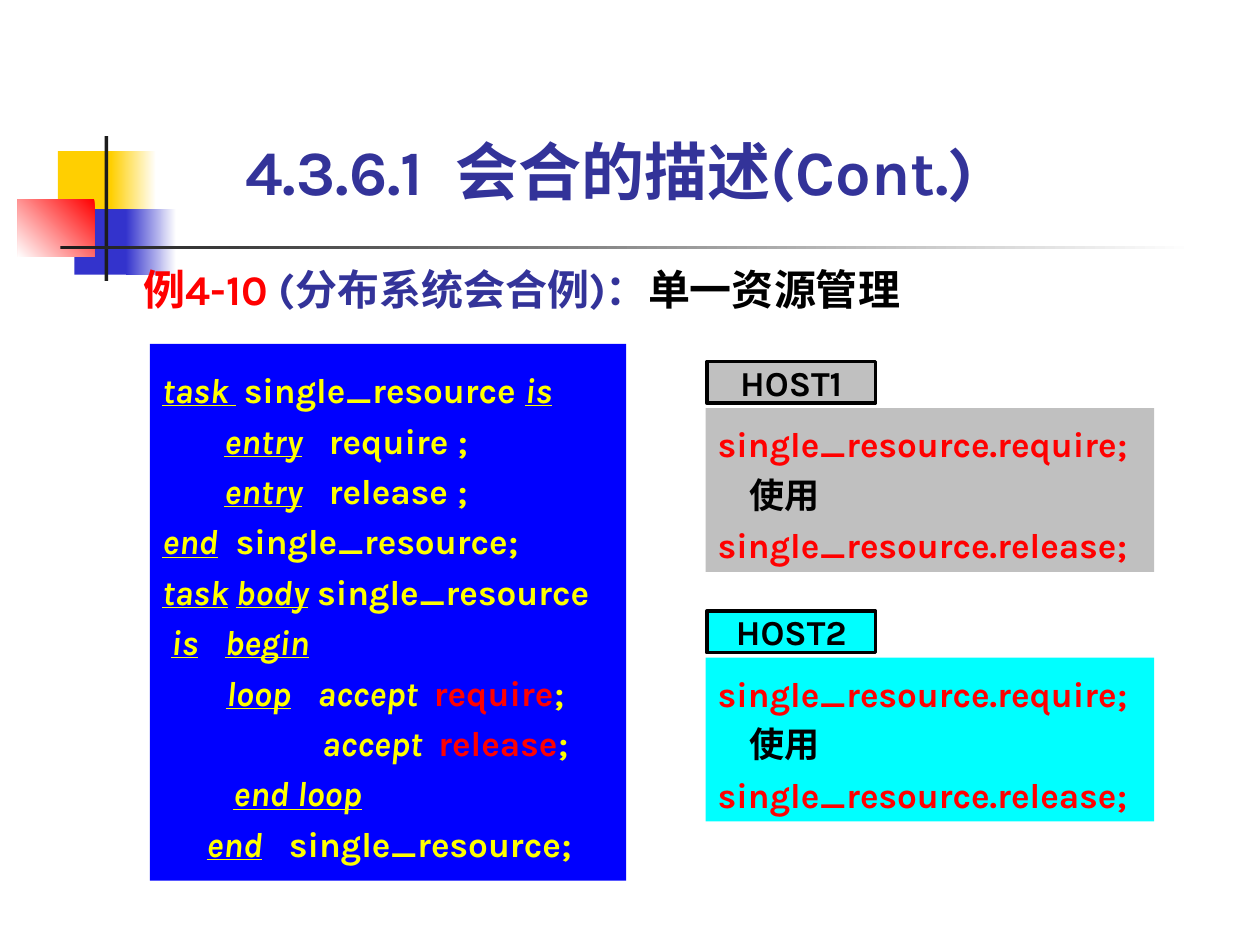
from pptx import Presentation
from pptx.dml.color import RGBColor
from pptx.enum.shapes import MSO_SHAPE
from pptx.enum.text import MSO_ANCHOR, PP_ALIGN
from pptx.util import Inches, Pt

RECT = MSO_SHAPE.RECTANGLE
TOP, MID, LOW = MSO_ANCHOR.TOP, MSO_ANCHOR.MIDDLE, MSO_ANCHOR.BOTTOM
LEFT, MIDST = PP_ALIGN.LEFT, PP_ALIGN.CENTER
COLS, ROWS = 100, 75
WHITE, BLACK, RED, NAVY = "FFFFFF", "000000", "FF0000", "333399"
GOLD, BLUE, DARK, GREY = "FFCF01", "3333CC", "1C1C1C", "C0C0C0"
LEMON, DEEP, CYAN = "FFFF00", "0000FF", "00FFFF"


def tint(code):
    return RGBColor.from_string(code)


class Deck:
    font = "Karla"

    def __init__(self):
        self.file = Presentation()
        self.file.slide_width, self.file.slide_height = Inches(10), Inches(7.5)
        self.slide = self.file.slides.add_slide(self.file.slide_layouts[6])

    def place(self, x, y, w, h):
        col = self.file.slide_width / COLS
        row = self.file.slide_height / ROWS
        return round(x * col), round(y * row), round(w * col), round(h * row)

    def block(self, at, fill, edge=None):
        shape = self.slide.shapes.add_shape(RECT, *self.place(*at))
        shape.shadow.inherit = False
        shape.fill.solid()
        shape.fill.fore_color.rgb = tint(fill)
        if edge:
            shape.line.color.rgb = tint(edge)
            shape.line.width = Pt(2)
        else:
            shape.line.fill.background()
        return shape

    def fade(self, at, start, end, angle=0):
        fill = self.block(at, start).fill
        fill.gradient()
        fill.gradient_angle = angle
        for stop, code in zip(fill.gradient_stops, (start, end)):
            stop.color.rgb = tint(code)

    def label(self, at, runs, size, pad):
        box = self.slide.shapes.add_textbox(*self.place(*at))
        self.letter(box, [runs], size, pad, LOW)

    def letter(self, shape, lines, size, pad, anchor, align=LEFT, space=1):
        frame = shape.text_frame
        frame.word_wrap = True
        frame.vertical_anchor = anchor
        frame.margin_left = frame.margin_right = Inches(pad[0])
        frame.margin_top = frame.margin_bottom = Inches(pad[1])
        for i, runs in enumerate(lines):
            para = frame.add_paragraph() if i else frame.paragraphs[0]
            para.alignment = align
            para.line_spacing = space
            for text, code, *style in runs:
                run = para.add_run()
                run.text = text
                font = run.font
                font.name, font.size, font.bold = self.font, Pt(size), True
                font.color.rgb = tint(code)
                font.italic = "i" in style
                font.underline = "u" in style


def key(text):
    return text, LEMON, "i", "u"


def slant(text):
    return text, LEMON, "i"


def plain(text):
    return text, LEMON


def main():
    deck = Deck()

    deck.block((4.6, 12, 4.8, 5.2), GOLD)
    deck.fade((8.8, 12, 3.6, 5.2), GOLD, WHITE)
    deck.block((5.9, 16.6, 4.6, 5.2), BLUE)
    deck.fade((10, 16.6, 4, 5.2), BLUE, WHITE)
    deck.fade((1.4, 15.8, 6.1, 4.6), RED, WHITE, 225)
    deck.block((8.3, 10.8, 0.3, 11.5), DARK)
    deck.fade((4.8, 19.5, 90, 0.3), DARK, WHITE)

    deck.label((18.5, 9.9, 66.1, 7.1),
               [("4.3.6.1  会合的描述(Cont.)", NAVY)], 36, (0.1, 0.05))
    deck.label((11.4, 20.9, 65.4, 4),
               [("例4-10", RED), (" (分布系统会合例)：", NAVY),
                ("单一资源管理", BLACK)], 24, (0, 0))

    code = [
        [key("task "), slant(" "), plain("single_resource "), key("is")],
        [plain("       "), key("entry"), plain("   require ;")],
        [plain("       "), key("entry"), plain("   release ;")],
        [key("end"), plain("  single_resource;")],
        [key("task"), slant(" "), key("body"), plain(" single_resource")],
        [plain(" "), key("is"), plain("   "), key("begin")],
        [slant("        "), key("loop"), plain("   "), slant("accept  "),
         ("require", RED), plain(";")],
        [plain("                  "), slant("accept  "),
         ("release", RED), plain(";")],
        [plain("        "), key("end loop")],
        [plain("     "), key("end"), plain("   single_resource;")],
    ]
    task = deck.block((11.9, 27.3, 37.8, 42.6), DEEP)
    deck.letter(task, code, 20, (0.1, 0.13), TOP, space=1.2)

    calls = [[("single_resource.require;", RED)],
             [("    使用", BLACK)],
             [("single_resource.release;", RED)]]
    for i, (name, fill) in enumerate((("HOST1", GREY), ("HOST2", CYAN))):
        y = 28.7 + 19.8 * i
        body = deck.block((56, y + 3.7, 35.6, 13), fill)
        deck.letter(body, calls, 20, (0.1, 0.05), TOP, space=1.2)
        head = deck.block((56.1, y, 13.4, 3.3), fill, BLACK)
        deck.letter(head, [[(name, BLACK)]], 20, (0, 0), MID, MIDST)

    deck.file.save("out.pptx")


if __name__ == "__main__":
    main()
